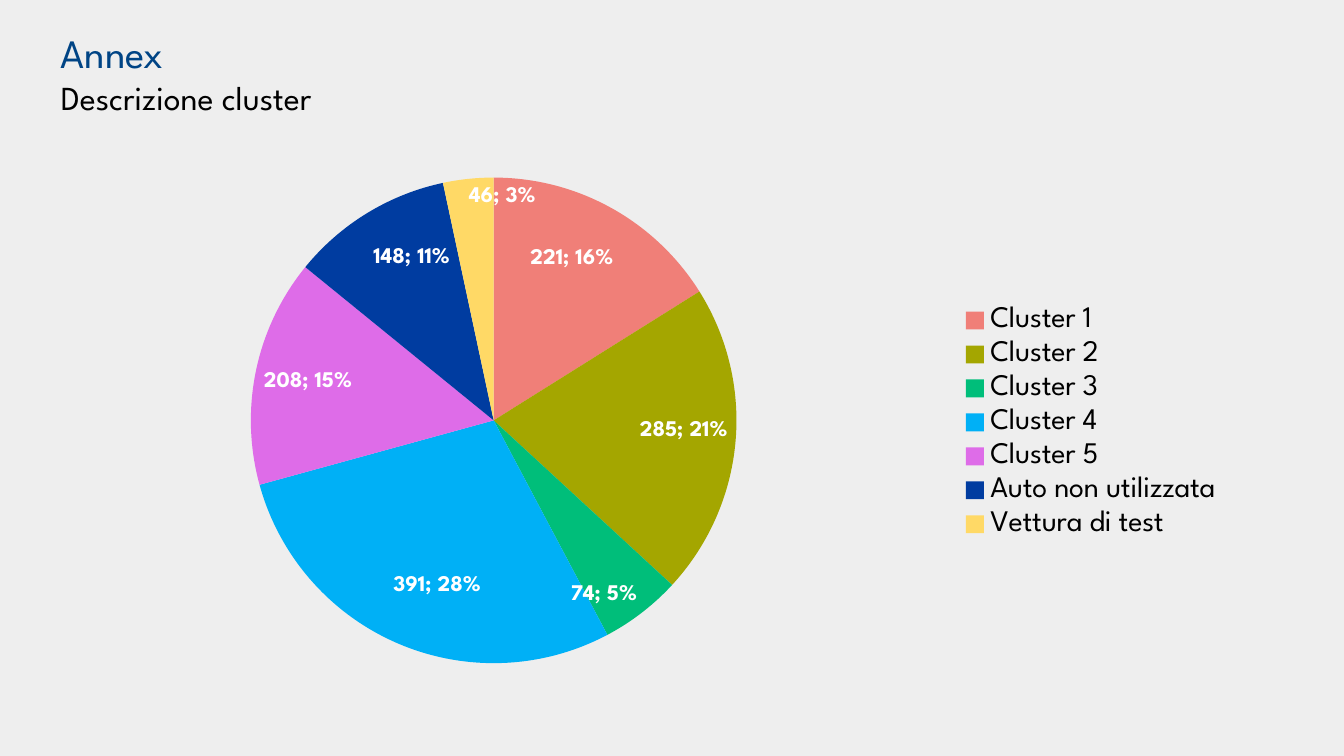
from pptx import Presentation, oxml, util as u
from pptx.chart.data import CategoryChartData
from pptx.dml.color import RGBColor
from pptx.enum import chart as ch, text
from pptx.oxml.ns import nsdecls

WIDE = u.Inches(10)
HIGH = WIDE * 9 // 16
FACE = "League Spartan"
SLICES = [
    ("Cluster 1 ", 221, "F07F78"),
    ("Cluster 2", 285, "A4A600"),
    ("Cluster 3", 74, "00BE7A"),
    ("Cluster 4 ", 391, "00B0F6"),
    ("Cluster 5 ", 208, "DE6CE8"),
    ("Auto non utilizzata", 148, "003CA0"),
    ("Vettura di test", 46, "FFD966"),
]
SHIFTS = {0: (0.5, 6.2), 3: (-0.6, -7), 5: (0.2, 5.1)}


def paint(fill, tint):
    """Fill with a solid hex colour."""
    fill.solid()
    fill.fore_color.rgb = RGBColor.from_string(tint)


def style(font, size, tint, bold=False, face=FACE):
    """Set face, size, weight and colour of a font."""
    font.name, font.size, font.bold = face, u.Pt(size), bold
    font.color.rgb = RGBColor.from_string(tint)


def layout(modes="", **shares):
    """Return a manual chart layout from percentages of the chart."""
    tags = "".join(f'<c:{key} val="{val / 100:g}"/>' for key, val in shares.items())
    return oxml.parse_xml(
        f'<c:layout {nsdecls("c")}><c:manualLayout>{modes}{tags}'
        '</c:manualLayout></c:layout>')


def add_head(slide, box):
    """Write the title and subtitle in the box."""
    frame = slide.shapes.add_textbox(*box).text_frame
    frame.word_wrap = True
    frame.vertical_anchor = text.MSO_ANCHOR.MIDDLE
    para = frame.paragraphs[0]
    para.text = "Annex \vDescrizione cluster"
    looks = [(21.6, "004485"), (18, "000000")]
    for run, (size, tint) in zip(para.runs, looks):
        style(run.font, size, tint)


def add_labels(series):
    """Show value and share inside each slice, with some labels nudged."""
    labels = series.data_labels
    labels.show_value = labels.show_percentage = True
    labels.position = ch.XL_LABEL_POSITION.INSIDE_END
    style(labels.font, 12, "FFFFFF", True)
    for i in SHIFTS:
        label = series.points[i].data_label
        style(label.font, 12, "FFFFFF", True)
        label.position = ch.XL_LABEL_POSITION.INSIDE_END
    root = labels._element
    for item, (x, y) in zip(root.xpath("c:dLbl"), SHIFTS.values()):
        item.insert(1, layout(x=x, y=y))
        item.xpath("c:showPercent")[0].set("val", "1")
    for mark in root.xpath(".//c:showBubbleSize"):
        mark.addnext(oxml.parse_xml(
            f'<c:separator {nsdecls("c")}>; </c:separator>'))


def add_pie(slide, box):
    """Draw the cluster pie with its legend in the box."""
    data = CategoryChartData()
    data.categories = [name for name, _, _ in SLICES]
    data.add_series("Series 1", [val for _, val, _ in SLICES])
    chart = slide.shapes.add_chart(ch.XL_CHART_TYPE.PIE, *box, data).chart
    style(chart.font, 10, "FFFFFF", face="Arial")
    chart.has_title = False
    chart.has_legend = True
    chart.legend.position = ch.XL_LEGEND_POSITION.RIGHT
    chart.legend.include_in_layout = False
    style(chart.legend.font, 16, "000000")
    plot = chart.plots[0]
    plot.vary_by_categories = True
    series = plot.series[0]
    for i, (_, _, tint) in enumerate(SLICES):
        paint(series.points[i].format.fill, tint)
    add_labels(series)
    area = chart._chartSpace.xpath(".//c:plotArea")[0]
    for old in area.xpath("c:layout"):
        area.remove(old)
    modes = ('<c:layoutTarget val="inner"/>'
             '<c:xMode val="edge"/><c:yMode val="edge"/>')
    area.insert(0, layout(modes, x=18, y=5.8, w=40.5, h=87.7))


def share(x, y, w, h):
    """Turn percentages of the slide into a box."""
    return [int(part * side / 100)
            for part, side in zip((x, y, w, h), (WIDE, HIGH) * 2)]


def main():
    """Build and save the slide."""
    deck = Presentation()
    deck.slide_width, deck.slide_height = WIDE, HIGH
    slide = deck.slides.add_slide(deck.slide_layouts[6])
    paint(slide.background.fill, "EEEEEE")
    add_head(slide, share(3.55, 5.8, 56.4, 7.6))
    add_pie(slide, share(2.5, 19.25, 89.5, 73.25))
    deck.save("out.pptx")


if __name__ == "__main__":
    main()
